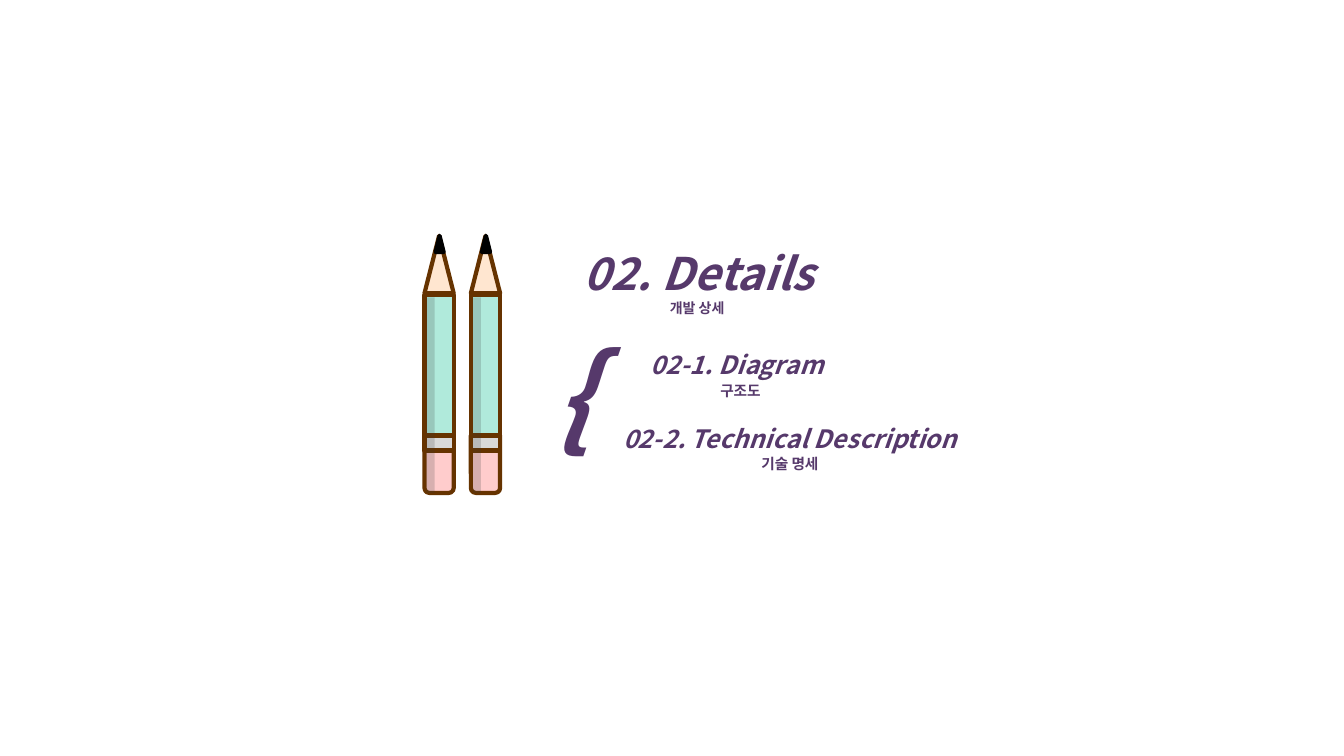
from dataclasses import dataclass

from lxml.etree import SubElement
from pptx import Presentation
from pptx.dml.color import RGBColor
from pptx.enum.shapes import MSO_SHAPE
from pptx.enum.text import MSO_ANCHOR, MSO_AUTO_SIZE, PP_ALIGN
from pptx.oxml.ns import qn
from pptx.slide import Slide
from pptx.text.text import TextFrame
from pptx.util import Inches, Pt

FONT = "Noto Sans CJK KR"
PURPLE = RGBColor(0x56, 0x39, 0x6B)
BROWN = RGBColor(0x66, 0x33, 0x00)
MINT = RGBColor(0xB0, 0xEA, 0xDB)
PINK = RGBColor(0xFF, 0xCC, 0xCC)
GREY = RGBColor(0xD9, 0xD9, 0xD9)
WOOD = RGBColor(0xFF, 0xE6, 0xD0)
BLACK = RGBColor(0, 0, 0)
SHADE = RGBColor(0x3B, 0x3B, 0x3B)


@dataclass(frozen=True)
class Part:
    """One piece of a pencil; dx is measured from the pencil's left edge."""
    kind: MSO_SHAPE
    dx: float
    top: float
    width: float
    height: float
    fill: RGBColor
    line: RGBColor | None = BROWN
    turn: int = 0
    adjust: float | None = None
    alpha: int = 100


@dataclass(frozen=True)
class Label:
    text: str
    left: float
    top: float
    width: float
    height: float
    size: float
    italic: bool = True
    align: PP_ALIGN = PP_ALIGN.CENTER


PARTS = (
    Part(MSO_SHAPE.RECTANGLE, 0, 2.93, 0.29, 1.39, MINT),
    Part(MSO_SHAPE.ROUND_2_SAME_RECTANGLE, 0, 4.32, 0.29, 0.57, PINK,
         turn=180, adjust=0.17),
    Part(MSO_SHAPE.ROUND_2_SAME_RECTANGLE, 0, 4.32, 0.29, 0.15, GREY,
         turn=180, adjust=0),
    Part(MSO_SHAPE.ISOSCELES_TRIANGLE, 0, 2.34, 0.29, 0.57, WOOD),
    Part(MSO_SHAPE.ISOSCELES_TRIANGLE, 0.11, 2.34, 0.08, 0.16, BLACK, BLACK),
    Part(MSO_SHAPE.RECTANGLE, 0.02, 2.95, 0.08, 1.94, SHADE, None, alpha=20),
)
PENCILS = (4.21, 4.67)

LABELS = (
    Label("02-1. Diagram", 5.77, 3.42, 3.08, 0.4, 18),
    Label("02-2. Technical Description", 5.29, 4.15, 5.09, 0.4, 18),
    Label("구조도", 6.33, 3.74, 2.03, 0.27, 10.5, italic=False),
    Label("기술 명세", 6.82, 4.46, 2.03, 0.27, 10.5, italic=False),
    Label("{", 5.39, 3.18, 0.36, 1.43, 80, align=PP_ALIGN.LEFT),
)


def write(frame: TextFrame, text: str, *, size: float, italic: bool = True,
          align: PP_ALIGN = PP_ALIGN.CENTER, more: bool = False) -> None:
    """Write one paragraph, after the existing ones if more is set."""
    frame.word_wrap = True
    frame.auto_size = MSO_AUTO_SIZE.SHAPE_TO_FIT_TEXT
    frame.vertical_anchor = MSO_ANCHOR.TOP
    para = frame.add_paragraph() if more else frame.paragraphs[0]
    para.alignment = align
    run = para.add_run()
    run.text = text
    font = run.font
    font.name, font.size = FONT, Pt(size)
    font.bold, font.italic = True, italic
    font.color.rgb = PURPLE
    SubElement(run._r.get_or_add_rPr(), qn("a:ea"), typeface=FONT)


def draw_title(slide: Slide) -> None:
    title = slide.shapes.title
    title.left, title.top = Inches(4.89), Inches(2.39)
    title.width, title.height = Inches(4.08), Inches(0.8)
    write(title.text_frame, "02. Details", size=32)
    write(title.text_frame, "개발 상세 ", size=10, italic=False, more=True)


def draw_pencil(slide: Slide, left: float) -> None:
    group = slide.shapes.add_group_shape()
    for part in PARTS:
        shape = group.shapes.add_shape(
            part.kind, Inches(left + part.dx), Inches(part.top),
            Inches(part.width), Inches(part.height))
        shape.shadow.inherit = False
        shape.rotation = part.turn
        if part.adjust is not None:
            shape.adjustments[0] = part.adjust
        shape.fill.solid()
        shape.fill.fore_color.rgb = part.fill
        if part.alpha < 100:
            color = shape._element.spPr.find(".//" + qn("a:srgbClr"))
            SubElement(color, qn("a:alpha"), val=str(part.alpha * 1000))
        if part.line is None:
            shape.line.fill.background()
        else:
            shape.line.color.rgb = part.line
            shape.line.width = Pt(3)


def draw_label(slide: Slide, label: Label) -> None:
    box = slide.shapes.add_textbox(Inches(label.left), Inches(label.top),
                                   Inches(label.width), Inches(label.height))
    write(box.text_frame, label.text, size=label.size, italic=label.italic,
          align=label.align)


def main() -> None:
    deck = Presentation()
    deck.slide_width, deck.slide_height = Inches(13.33), Inches(7.5)
    slide = deck.slides.add_slide(deck.slide_layouts.get_by_name("Title Only"))
    draw_title(slide)
    for left in PENCILS:
        draw_pencil(slide, left)
    for label in LABELS:
        draw_label(slide, label)
    deck.save("out.pptx")


if __name__ == "__main__":
    main()
